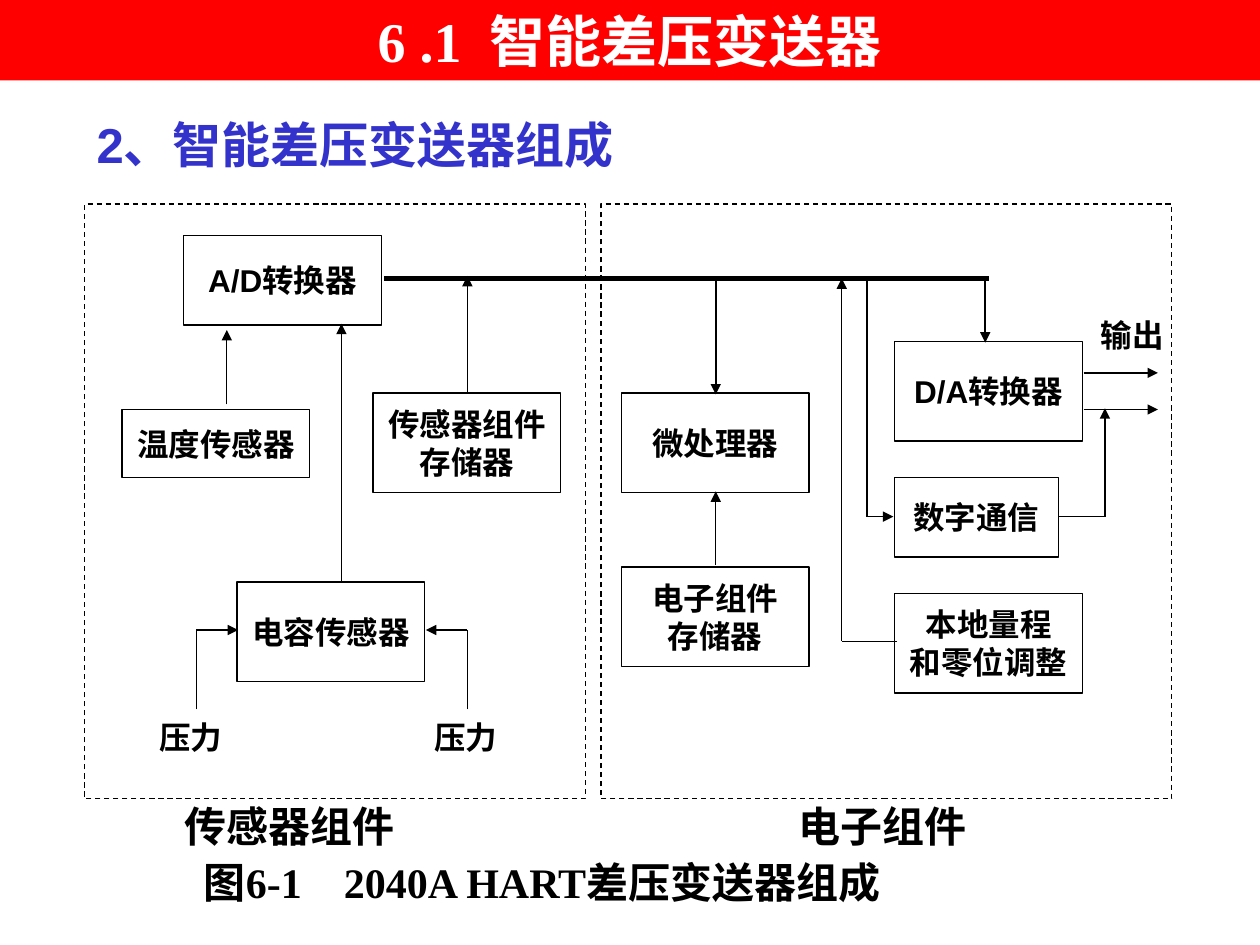
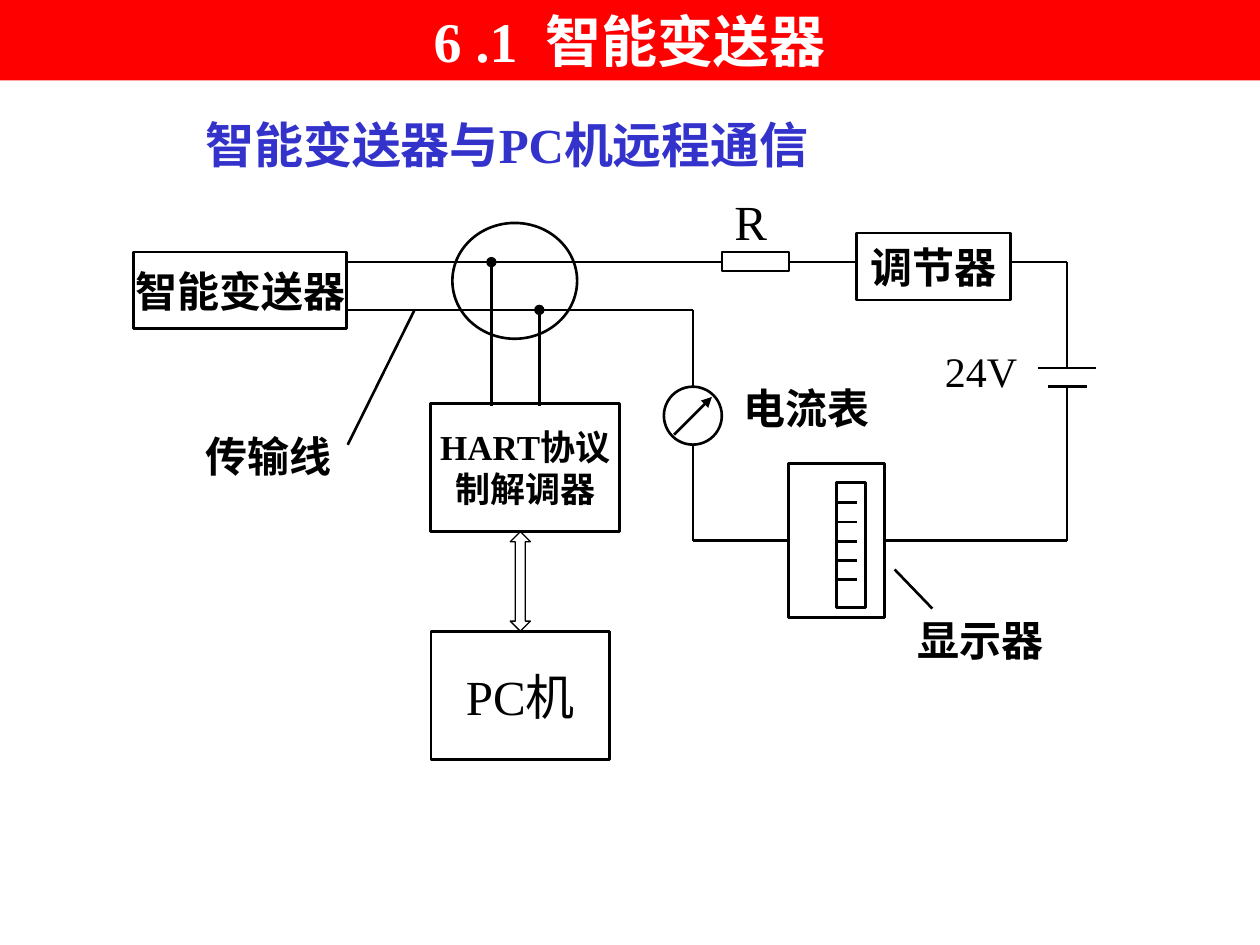
from itertools import pairwise

from lxml import etree
from pptx import Presentation
from pptx.dml.color import RGBColor
from pptx.enum import dml, shapes, text
from pptx.oxml import ns
from pptx.util import Pt

COLORS = {"band": "FF0000", "title": "FFFFFF", "heading": "3333CC", "ink": "000000"}
SANS, SERIF = "Arial", "Times New Roman"
WIDTH, HEIGHT = 720, 540
BAND_HEIGHT = 46
TITLE_GAP, CAPTION_GAP = 8, 18
RECT, OVAL = shapes.MSO_SHAPE.RECTANGLE, shapes.MSO_SHAPE.OVAL
CENTER, LEFT = text.PP_ALIGN.CENTER, text.PP_ALIGN.LEFT
TOP, MIDDLE, BOTTOM = text.MSO_ANCHOR.TOP, text.MSO_ANCHOR.MIDDLE, text.MSO_ANCHOR.BOTTOM

BLOCK = (107.3, 56.9)
COMPOSITION = {
    "title": ("6 .1", "智能差压变送器"),
    "heading": ("2、智能差压变送器组成", (48.2, 54.7, 334.8, 48.2), SANS),
    "frames": [(48.2, 116.6, 286.6, 339.8), (343.4, 116.6, 326.2, 339.8)],
    "blocks": [
        ("A/D转换器", (105, 134.6, 113, 51.1)),
        ("温度传感器", (69.8, 234, 107.3, 38.9)),
        ("电容传感器", (135.4, 332.6, *BLOCK)),
        ("传感器组件\n存储器", (213.1, 224.6, *BLOCK)),
        ("微处理器", (355, 224.6, *BLOCK)),
        ("电子组件\n存储器", (355, 324, *BLOCK)),
        ("D/A转换器", (511.2, 195.1, *BLOCK)),
        ("数字通信", (511.2, 272.9, 93.6, 45.4)),
        ("本地量程\n和零位调整", (511.2, 339.1, *BLOCK)),
    ],
    "bus": [(219.6, 159.1), (565.2, 159.1)],
    "signals": [
        [(129.6, 231.1), (129.6, 188.6)],
        [(195.1, 331.9), (195.1, 185)],
        [(112.3, 405.4), (112.3, 360), (136.1, 360)],
        [(267.1, 405.4), (267.1, 360), (243.4, 360)],
        [(267.1, 224.6), (267.1, 157.7)],
        [(409, 322.6), (409, 280.8)],
        [(512.6, 366.5), (481, 366.5), (481, 159.1)],
        [(495.4, 158.4), (495.4, 295.2), (510.5, 295.2)],
        [(619.2, 213.1), (661.7, 213.1)],
        [(619.2, 234), (661.7, 234)],
        [(604.8, 295.2), (631.4, 295.2), (631.4, 233.3)],
    ],
    "bus_drops": [
        [(409, 160.6), (409, 225.4)],
        [(563, 159.1), (563, 195.8)],
    ],
    "ports": [
        ("压力", (86.4, 406.8, 45.4, 28.1)),
        ("压力", (243.4, 406.8, 45.4, 28.1)),
        ("输出", (624.2, 177.1, 45.4, 28.1)),
    ],
    "frame_names": [
        ("传感器组件", (95.2, 457.2, 140, 28.8)),
        ("电子组件", (434.4, 457.2, 140, 28.8)),
    ],
    "caption": (("图6-1", "2040A HART差压变送器组成"), (109.4, 486, 460, 36)),
}

REMOTE = {
    "title": ("6 .1", "智能变送器"),
    "heading": ("智能变送器与PC机远程通信", (110.2, 61.9, 414, 41), SERIF),
    "devices": [
        ("智能变送器", (76.3, 144, 121.7, 43.9), 24, True),
        ("调节器", (489.6, 133.2, 87.8, 38.2), 24, True),
        ("HART协议\n制解调器", (246.2, 230.4, 108, 73.4), 20, True),
        ("PC机", (246.2, 360.7, 102.2, 73.4), 28, False),
    ],
    "symbols": [
        (RECT, (412.6, 144, 38.2, 10.8)),
        (RECT, (450.7, 265, 54.7, 87.8)),
        (RECT, (478.1, 275.8, 16.6, 71.3)),
        (OVAL, (258.5, 127.4, 71.3, 66.2)),
        (OVAL, (379.4, 221, 33.1, 33.1)),
    ],
    "data_arrow": (291.6, 303.8, 11.5, 56.9),
    "wires": [
        [(198.7, 149.8), (412.6, 149.8)],
        [(198.7, 177.1), (396, 177.1), (396, 221)],
        [(396, 254.2), (396, 308.9), (450.7, 308.9)],
        [(450.7, 149.8), (489.6, 149.8)],
        [(577.4, 149.8), (609.8, 149.8), (609.8, 210.2)],
        [(593.3, 210.2), (626.4, 210.2)],
        [(599, 221), (621.4, 221)],
        [(609.8, 221), (609.8, 308.9), (505.4, 308.9)],
        [(198.7, 254.2), (236.9, 177.1)],
        [(532.8, 347.8), (511.2, 325.4)],
    ],
    "taps": [
        [(280.8, 231.8), (280.8, 149.8)],
        [(308.2, 231.8), (308.2, 177.1)],
    ],
    "needle": [(385.2, 248.4), (406.8, 226.8)],
    "ticks": {"left": 478.1, "right": 489.6, "top": 287.3, "step": 11, "count": 5},
    "labels": [
        ("显示器", (517, 347.8, 98.6, 36), 24, True),
        ("24V", (532.8, 193.7, 60.5, 36), 24, False),
        ("R", (412.6, 105.8, 43.9, 41), 28, False),
        ("电流表", (417.6, 215.3, 98.6, 36), 24, True),
        ("传输线", (110.2, 242.6, 98.6, 36), 24, True),
    ],
}


def rgb(name):
    return RGBColor.from_string(COLORS[name])


def write(shape, words, size, font, bold=True, color="ink", align=CENTER,
          anchor=MIDDLE, wrap=False, inset=True):
    frame = shape.text_frame
    frame.text = words
    frame.word_wrap = wrap
    frame.vertical_anchor = anchor
    frame.margin_left = frame.margin_right = Pt(7.2 if inset else 0)
    frame.margin_top = frame.margin_bottom = Pt(3.6 if inset else 0)
    for paragraph in frame.paragraphs:
        paragraph.alignment = align
        for run in paragraph.runs:
            format_run(run, size, font, bold, color)


def format_run(run, size, font, bold, color):
    run.font.size = Pt(size)
    run.font.name = font
    run.font.bold = bold
    run.font.color.rgb = rgb(color)


def write_numbered(shape, parts, gap, size, font, color="ink", **style):
    number, name = parts
    write(shape, number, size, font, color=color, wrap=True, anchor=TOP, **style)
    paragraph = shape.text_frame.paragraphs[0]
    for words, spacing in ((" ", gap), (name, 0)):
        run = paragraph.add_run()
        run.text = words
        format_run(run, size, font, True, color)
        run.font._element.set("spc", str(spacing * 100))


def outline(slide, kind, box, width, dash=None):
    shape = slide.shapes.add_shape(kind, *map(Pt, box))
    shape.shadow.inherit = False
    shape.fill.background()
    shape.line.color.rgb = rgb("ink")
    shape.line.width = Pt(width)
    if dash:
        shape.line.dash_style = dash
    return shape


def label(slide, words, box, size, font, **style):
    write(slide.shapes.add_textbox(*map(Pt, box)), words, size, font, wrap=True, **style)


def route(slide, points, width, end=None):
    for start, stop in pairwise(points):
        wire = slide.shapes.add_connector(
            shapes.MSO_CONNECTOR.STRAIGHT, *map(Pt, (*start, *stop)))
        wire.line.color.rgb = rgb("ink")
        wire.line.width = Pt(width)
        if end and stop == points[-1]:
            etree.SubElement(wire.line._get_or_add_ln(), ns.qn("a:tailEnd"), type=end)
        etree.SubElement(wire._element.spPr, ns.qn("a:effectLst"))


def start_slide(deck, content):
    slide = deck.slides.add_slide(deck.slide_layouts[6])
    band = slide.shapes.add_shape(RECT, 0, 0, Pt(WIDTH), Pt(BAND_HEIGHT))
    band.shadow.inherit = False
    band.fill.solid()
    band.fill.fore_color.rgb = rgb("band")
    band.line.fill.background()
    write_numbered(band, content["title"], TITLE_GAP, 32, SERIF, color="title")
    words, box, font = content["heading"]
    label(slide, words, box, 28, font, color="heading", align=LEFT, anchor=BOTTOM)
    return slide


def draw_composition(deck):
    slide = start_slide(deck, COMPOSITION)
    for box in COMPOSITION["frames"]:
        outline(slide, RECT, box, 0.75, dml.MSO_LINE.DASH)
    for words, box in COMPOSITION["blocks"]:
        write(outline(slide, RECT, box, 0.75), words, 18, SANS)
    route(slide, COMPOSITION["bus"], 3)
    for points in COMPOSITION["signals"]:
        route(slide, points, 0.75, "triangle")
    for points in COMPOSITION["bus_drops"]:
        route(slide, points, 1, "triangle")
    for words, box in COMPOSITION["ports"]:
        label(slide, words, box, 18, SANS, inset=False)
    for words, box in COMPOSITION["frame_names"]:
        label(slide, words, box, 24, SANS, anchor=TOP, inset=False)
    parts, box = COMPOSITION["caption"]
    caption = slide.shapes.add_textbox(*map(Pt, box))
    write_numbered(caption, parts, CAPTION_GAP, 24, SERIF, align=LEFT)


def draw_remote(deck):
    slide = start_slide(deck, REMOTE)
    for words, box, size, bold in REMOTE["devices"]:
        write(outline(slide, RECT, box, 1.5), words, size, SERIF, bold)
    for kind, box in REMOTE["symbols"]:
        outline(slide, kind, box, 1.5)
    arrow = outline(slide, shapes.MSO_SHAPE.UP_DOWN_ARROW, REMOTE["data_arrow"], 0.75)
    arrow.adjustments[0] = 1.01
    arrow.adjustments[1] = 0.5
    for points in REMOTE["wires"]:
        route(slide, points, 1.5)
    for points in REMOTE["taps"]:
        route(slide, points, 1.5, "oval")
    route(slide, REMOTE["needle"], 1.5, "triangle")
    ticks = REMOTE["ticks"]
    for index in range(ticks["count"]):
        y = ticks["top"] + index * ticks["step"]
        route(slide, [(ticks["left"], y), (ticks["right"], y)], 1.5)
    for words, box, size, bold in REMOTE["labels"]:
        label(slide, words, box, size, SERIF, bold=bold, align=LEFT, anchor=TOP)


def main():
    deck = Presentation()
    deck.slide_width, deck.slide_height = Pt(WIDTH), Pt(HEIGHT)
    draw_composition(deck)
    draw_remote(deck)
    deck.save("out.pptx")


if __name__ == "__main__":
    main()
